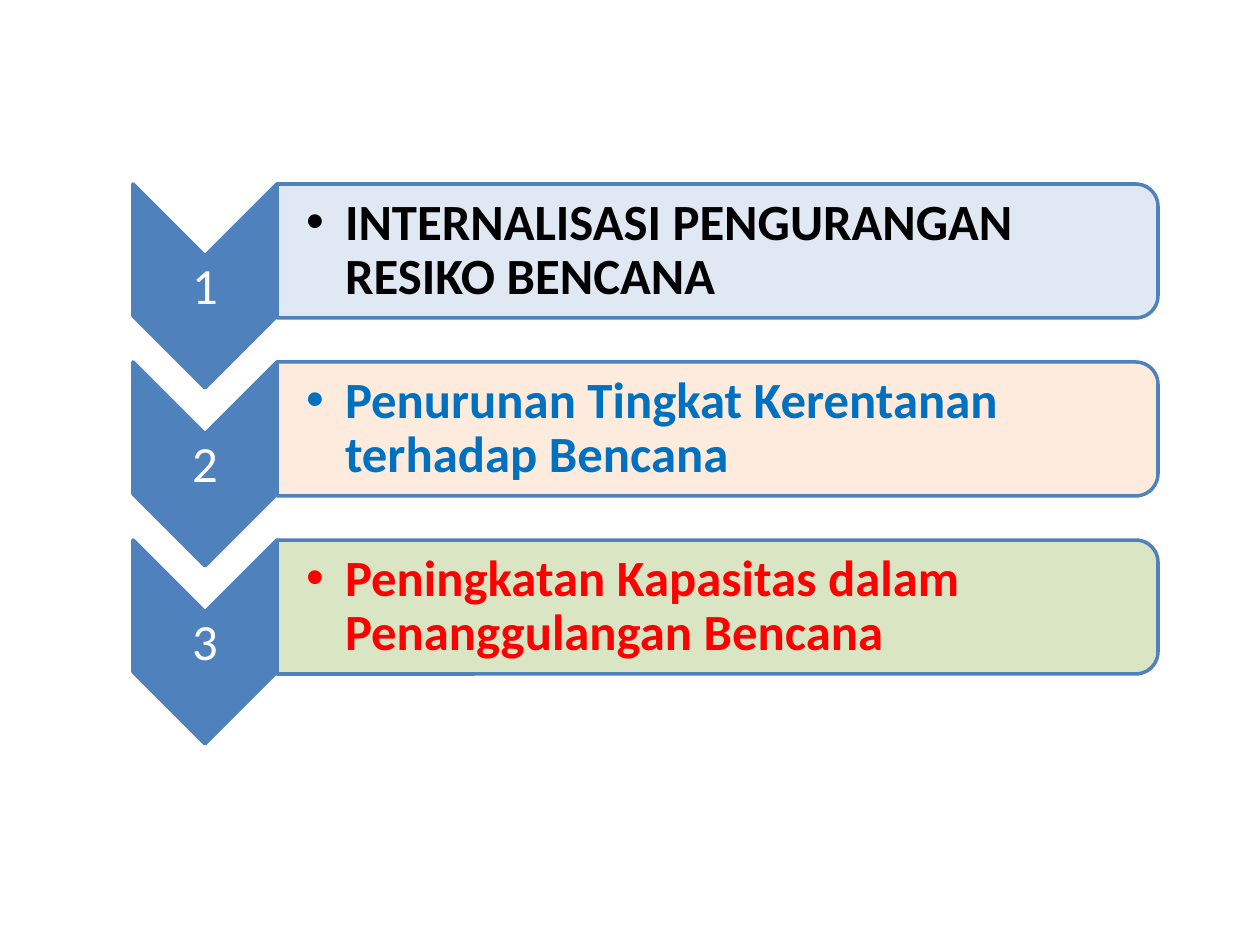
from dataclasses import dataclass

from lxml.etree import SubElement
from pptx import Presentation
from pptx.dml.color import RGBColor
from pptx.enum.shapes import MSO_SHAPE
from pptx.enum.text import MSO_ANCHOR, PP_ALIGN
from pptx.oxml.ns import qn
from pptx.util import Emu, Pt

EMU_PER_PIXEL = 914400 / 126


@dataclass(frozen=True)
class Theme:
    font: str = "Calibri"
    text_size: int = 29
    line_width: int = 2
    line_spacing: float = 0.9
    panel_opacity: int = 90
    accent: str = "4F81BD"
    number: str = "FFFFFF"


THEME = Theme()

# Statement, text colour, panel colour
STEPS = [
    ("INTERNALISASI PENGURANGAN RESIKO BENCANA", "000000", "DCE6F2"),
    ("Penurunan Tingkat Kerentanan terhadap Bencana", "0070C0", "FDEADA"),
    ("Peningkatan Kapasitas dalam Penanggulangan Bencana", "FF0000", "D7E4BD"),
]

# Layout in pixels
FIRST_TOP, ROW_PITCH = 184, 178
CHEVRON_LEFT, CHEVRON_WIDTH, CHEVRON_HEIGHT = 133, 144, 204
PANEL_LEFT, PANEL_WIDTH, PANEL_HEIGHT = 277, 881, 134
NUMBER_OFFSET, NUMBER_HEIGHT = 73, 62
TEXT_OFFSET, TEXT_WIDTH, TEXT_HEIGHT = 7, 874, 120
INSET, TEXT_INSET, BULLET_INDENT = 3, 29, 39


def px(length):
    return Emu(round(length * EMU_PER_PIXEL))


def add_turned_shape(slide, preset, left, top, width, height, color):
    """Add a preset turned by 90 degrees that covers the given box."""
    shift = (width - height) / 2
    shape = slide.shapes.add_shape(
        preset, px(left + shift), px(top - shift), px(height), px(width))
    shape.rotation = 90
    shape.shadow.inherit = False
    shape.fill.solid()
    shape.fill.fore_color.rgb = RGBColor.from_string(color)
    shape.line.color.rgb = RGBColor.from_string(THEME.accent)
    shape.line.width = Pt(THEME.line_width)
    return shape


def set_opacity(shape, percent):
    color = shape.fill._xPr.find(qn("a:solidFill"))[0]
    SubElement(color, qn("a:alpha"), val=str(percent * 1000))


def add_text(slide, text, left, top, width, height, color, left_inset=INSET):
    """Add a one-paragraph text box and return its paragraph."""
    box = slide.shapes.add_textbox(px(left), px(top), px(width), px(height))
    frame = box.text_frame
    frame.word_wrap = True
    frame.vertical_anchor = MSO_ANCHOR.MIDDLE
    frame.margin_left = px(left_inset)
    frame.margin_top = frame.margin_right = frame.margin_bottom = px(INSET)
    frame.text = text
    paragraph = frame.paragraphs[0]
    paragraph.line_spacing = THEME.line_spacing
    font = paragraph.runs[0].font
    font.name = THEME.font
    font.size = Pt(THEME.text_size)
    font.color.rgb = RGBColor.from_string(color)
    return paragraph


def add_bullet(paragraph):
    properties = paragraph._p.get_or_add_pPr()
    properties.set("marL", str(px(BULLET_INDENT)))
    properties.set("indent", str(-px(BULLET_INDENT)))
    SubElement(properties, qn("a:buFont"), typeface="Arial")
    SubElement(properties, qn("a:buChar"), char="•")


def add_chevron(slide, number, top):
    add_turned_shape(slide, MSO_SHAPE.CHEVRON, CHEVRON_LEFT, top,
                     CHEVRON_WIDTH, CHEVRON_HEIGHT, THEME.accent)
    paragraph = add_text(slide, str(number), CHEVRON_LEFT, top + NUMBER_OFFSET,
                         CHEVRON_WIDTH, NUMBER_HEIGHT, THEME.number)
    paragraph.alignment = PP_ALIGN.CENTER


def add_panel(slide, statement, top, text_color, panel_color):
    panel = add_turned_shape(slide, MSO_SHAPE.ROUND_2_SAME_RECTANGLE, PANEL_LEFT, top,
                             PANEL_WIDTH, PANEL_HEIGHT, panel_color)
    set_opacity(panel, THEME.panel_opacity)
    paragraph = add_text(slide, statement, PANEL_LEFT, top + TEXT_OFFSET,
                         TEXT_WIDTH, TEXT_HEIGHT, text_color, TEXT_INSET)
    paragraph.runs[0].font.bold = True
    add_bullet(paragraph)


def main():
    presentation = Presentation()
    presentation.slide_width, presentation.slide_height = px(1260), px(945)
    slide = presentation.slides.add_slide(presentation.slide_layouts[6])

    # One numbered chevron and one statement panel per step
    for index, (statement, text_color, panel_color) in enumerate(STEPS):
        top = FIRST_TOP + index * ROW_PITCH
        add_chevron(slide, index + 1, top)
        add_panel(slide, statement, top, text_color, panel_color)

    presentation.save("out.pptx")


if __name__ == "__main__":
    main()
